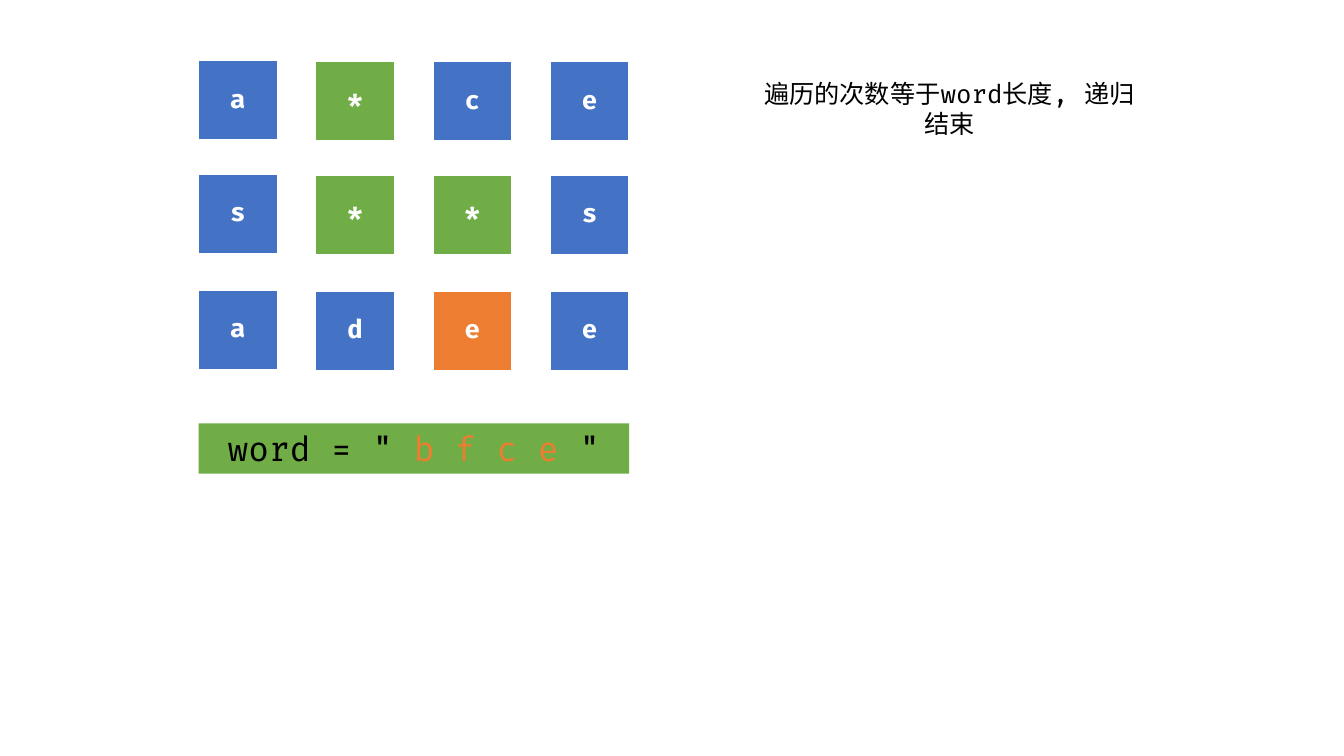
from pptx import Presentation
from pptx.dml.color import RGBColor
from pptx.enum.shapes import MSO_SHAPE
from pptx.enum.text import MSO_ANCHOR, PP_ALIGN
from pptx.util import Inches, Pt

BLUE, GREEN, ORANGE = "4472C4", "70AD47", "ED7D31"
WHITE, BLACK = "FFFFFF", "000000"


def paint(target, color):
    """Give a fill a solid colour."""
    target.fill.solid()
    target.fill.fore_color.rgb = RGBColor.from_string(color)


def write(tf, runs, size, bold=False):
    """Write one centred paragraph of (text, colour) runs."""
    tf.word_wrap = True
    p = tf.paragraphs[0]
    p.alignment = PP_ALIGN.CENTER
    for text, color in runs:
        r = p.add_run()
        r.text = text
        for name, value in {"name": "Fira Code", "size": Pt(size), "bold": bold}.items():
            setattr(r.font, name, value)
        paint(r.font, color)


prs = Presentation()
prs.slide_width, prs.slide_height = Inches(13.33), Inches(7.5)
s = prs.slides.add_slide(prs.slide_layouts[6])

# Letter board: one single-cell table per letter, visited letters are "*"
board = ["a*ce", "s**s", "adee"]
row_tops = [0.61, 1.74, 2.89]
current = (2, 2)
for row, (letters, top) in enumerate(zip(board, row_tops)):
    for col, letter in enumerate(letters):
        # The first column sits slightly higher than the others
        y = top - 0.01 if col == 0 else top
        table = s.shapes.add_table(1, 1, Inches(1.97 + 1.163 * col), Inches(y),
                                   Inches(0.78), Inches(0.79)).table
        cell = table.cell(0, 0)
        cell.vertical_anchor = MSO_ANCHOR.MIDDLE
        if (row, col) == current:
            paint(cell, ORANGE)
        else:
            paint(cell, GREEN if letter == "*" else BLUE)
        write(cell.text_frame, [(letter, WHITE)], 18, bold=True)

# Word being searched
sp = s.shapes.add_shape(MSO_SHAPE.RECTANGLE, Inches(1.97), Inches(4.2),
                        Inches(4.27), Inches(0.5))
sp.shadow.inherit = False
sp.line.fill.background()
paint(sp, GREEN)
write(sp.text_frame, [('word = " ', BLACK), ("b f c e", ORANGE), (' "', BLACK)], 24)

# Stop condition
sp = s.shapes.add_textbox(Inches(7.46), Inches(0.73), Inches(3.91), Inches(0.71))
write(sp.text_frame, [("遍历的次数等于word长度, 递归结束", BLACK)], 18)

prs.save("out.pptx")
